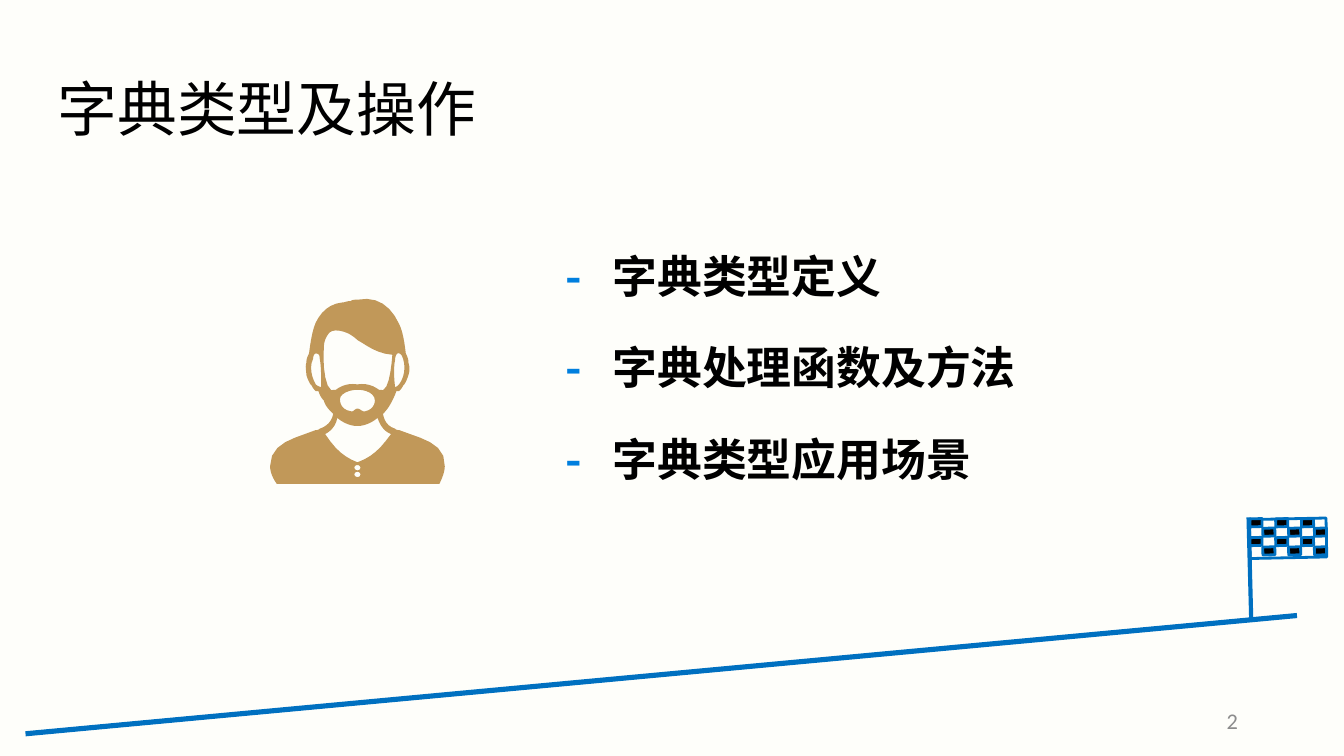
"""Build the agenda slide on dictionary types."""
from typing import NamedTuple
from lxml.etree import SubElement as Sub
from pptx import Presentation as Deck
from pptx.dml.color import RGBColor as RGB
from pptx.enum.shapes import MSO_CONNECTOR as Link, MSO_SHAPE as Kind
from pptx.enum.text import MSO_ANCHOR as Anchor, MSO_AUTO_SIZE as Fit, PP_ALIGN as Align
from pptx.oxml.ns import qn
from pptx.util import Inches, Pt

PAPER = RGB(0xFE, 0xFE, 0xFA)
TAN = RGB(0xC1, 0x98, 0x59)
BLUE = RGB(0x00, 0x70, 0xC0)
DASH = RGB(0x00, 0x7F, 0xDE)
BLACK = RGB(0x00, 0x00, 0x00)
GREY = RGB(0x8C, 0x8C, 0x8C)
HAN = "Noto Sans CJK SC"
ITEMS = ("字典类型定义", "字典处理函数及方法", "字典类型应用场景")

Point = tuple[float, float]


class Style(NamedTuple):
    size: float
    face: str
    color: RGB
    bold: bool = False


class Stroke(NamedTuple):
    start: Point
    end: Point
    width: float


class Curve(NamedTuple):
    start: Point
    bends: tuple[tuple[float, ...], ...]


BODY = Curve((2.06, 3.6), (
    (2.03, 3.56, 2.01, 3.51, 2.01, 3.47), (2.01, 3.29, 2.2, 3.26, 2.35, 3.2),
    (2.36, 3.2, 2.37, 3.2, 2.38, 3.19), (2.44, 3.17, 2.47, 3.13, 2.48, 3.08),
    (2.45, 3.05, 2.42, 3.02, 2.41, 2.98), (2.39, 2.96, 2.38, 2.94, 2.37, 2.91),
    (2.36, 2.91, 2.36, 2.91, 2.35, 2.91), (2.34, 2.9, 2.33, 2.89, 2.32, 2.87),
    (2.3, 2.85, 2.29, 2.82, 2.28, 2.79), (2.28, 2.76, 2.27, 2.73, 2.28, 2.7),
    (2.28, 2.67, 2.29, 2.65, 2.3, 2.63), (2.31, 2.56, 2.32, 2.47, 2.35, 2.4),
    (2.39, 2.32, 2.45, 2.26, 2.55, 2.25), (2.57, 2.25, 2.58, 2.24, 2.61, 2.24),
    (2.62, 2.23, 2.64, 2.23, 2.66, 2.23), (2.81, 2.2, 2.91, 2.28, 2.97, 2.41),
    (3, 2.47, 3.01, 2.55, 3.02, 2.63), (3.03, 2.65, 3.04, 2.67, 3.04, 2.7),
    (3.05, 2.73, 3.05, 2.76, 3.04, 2.79), (3.03, 2.82, 3.02, 2.85, 3, 2.87),
    (2.99, 2.89, 2.98, 2.9, 2.97, 2.91), (2.96, 2.91, 2.96, 2.91, 2.95, 2.91),
    (2.94, 2.94, 2.93, 2.96, 2.92, 2.98), (2.9, 3.02, 2.88, 3.05, 2.85, 3.08),
    (2.86, 3.13, 2.88, 3.17, 2.94, 3.19), (2.95, 3.2, 2.96, 3.2, 2.97, 3.2),
    (3.12, 3.26, 3.32, 3.29, 3.31, 3.47), (3.31, 3.51, 3.29, 3.56, 3.27, 3.6)))
EARS = (
    Curve((2.35, 2.63), (
        (2.34, 2.63, 2.33, 2.65, 2.33, 2.67), (2.3, 2.73, 2.32, 2.81, 2.35, 2.86),
        (2.36, 2.87, 2.38, 2.88, 2.39, 2.88), (2.39, 2.79, 2.39, 2.72, 2.38, 2.67),
        (2.38, 2.64, 2.37, 2.63, 2.35, 2.63))),
    Curve((2.97, 2.63), (
        (2.96, 2.62, 2.94, 2.64, 2.94, 2.68), (2.93, 2.73, 2.93, 2.79, 2.94, 2.88),
        (2.95, 2.88, 2.96, 2.87, 2.97, 2.86), (3.01, 2.81, 3.02, 2.73, 3, 2.67),
        (2.99, 2.64, 2.98, 2.63, 2.97, 2.63))))
FACE = Curve((2.66, 2.53), (
    (2.64, 2.51, 2.61, 2.49, 2.59, 2.48), (2.52, 2.45, 2.46, 2.45, 2.44, 2.49),
    (2.42, 2.52, 2.41, 2.55, 2.41, 2.59), (2.4, 2.71, 2.42, 2.95, 2.5, 2.9),
    (2.54, 2.87, 2.59, 2.85, 2.66, 2.86), (2.73, 2.85, 2.78, 2.87, 2.82, 2.9),
    (2.89, 2.94, 2.91, 2.76, 2.92, 2.64), (2.8, 2.63, 2.73, 2.57, 2.66, 2.53)))
MOUTH = Curve((2.66, 2.9), (
    (2.6, 2.9, 2.53, 2.93, 2.53, 2.97), (2.53, 3.01, 2.55, 3.05, 2.61, 3.06),
    (2.63, 3.07, 2.64, 3.04, 2.66, 3.04), (2.68, 3.04, 2.7, 3.07, 2.72, 3.06),
    (2.77, 3.05, 2.79, 3.01, 2.79, 2.98), (2.79, 2.93, 2.73, 2.9, 2.66, 2.9)))
NECK = Curve((2.66, 3.44), (
    (2.77, 3.4, 2.83, 3.34, 2.91, 3.23), (2.86, 3.21, 2.83, 3.17, 2.81, 3.11),
    (2.76, 3.15, 2.71, 3.17, 2.66, 3.17), (2.61, 3.17, 2.56, 3.15, 2.51, 3.11),
    (2.5, 3.17, 2.46, 3.21, 2.42, 3.23), (2.5, 3.35, 2.56, 3.4, 2.66, 3.44)))


def button(y: float) -> Curve:
    """Return a round shirt button centred at the given height."""
    return Curve((2.66, y - 0.02), (
        (2.69, y - 0.02, 2.69, y + 0.02, 2.66, y + 0.02),
        (2.63, y + 0.02, 2.63, y - 0.02, 2.66, y - 0.02)))


def trace(curve: Curve, steps: int = 6) -> list[Point]:
    """Turn a chain of cubic bends into points in EMU."""
    x, y = curve.start
    dots = [(x, y)]
    for a, b, c, d, e, f in curve.bends:
        for t in (n / steps for n in range(1, steps + 1)):
            u = 1 - t
            w = (u ** 3, 3 * u * u * t, 3 * u * t * t, t ** 3)
            dots.append((sum(k * v for k, v in zip(w, (x, a, c, e))),
                         sum(k * v for k, v in zip(w, (y, b, d, f)))))
        x, y = e, f
    return [(Inches(p), Inches(q)) for p, q in dots]


def draw_man(shapes, curves: tuple[Curve, ...]) -> None:
    """Draw the bearded figure as one outline with holes."""
    first, *rest = map(trace, curves)
    pen = shapes.build_freeform(*first[0])
    pen.add_line_segments(first[1:])
    for dots in rest:
        pen.move_to(*dots[0])
        pen.add_line_segments(dots[1:])
    man = pen.convert_to_shape()
    man.shadow.inherit = False
    man.fill.solid()
    man.fill.fore_color.rgb = TAN
    man.line.fill.background()


def draw_line(shapes, item: Stroke) -> None:
    """Draw a straight blue line."""
    line = shapes.add_connector(Link.STRAIGHT, *map(Inches, item.start + item.end))
    line.line.color.rgb = BLUE
    line.line.width = Pt(item.width)
    Sub(line._element.spPr, qn("a:effectLst"))


def draw_rect(shapes, box: tuple[float, ...], turn: float, full: bool) -> None:
    """Draw a tilted blue-edged rectangle, black or hollow."""
    rect = shapes.add_shape(Kind.RECTANGLE, *map(Inches, box))
    rect.shadow.inherit = False
    rect.rotation = turn
    if full:
        rect.fill.solid()
        rect.fill.fore_color.rgb = BLACK
    else:
        rect.fill.background()
    rect.line.color.rgb = BLUE
    rect.line.width = Pt(1.5)


def draw_flag(shapes) -> None:
    """Draw the chequered flag on its pole."""
    flag = shapes.add_group_shape().shapes
    draw_line(flag, Stroke((9.29, 3.85), (9.31, 4.62), 2.25))
    draw_rect(flag, (9.3, 3.86, 0.57, 0.29), 358.8, False)
    for row in range(4):
        for col in range(row % 2, 6, 2):
            box = (9.3 + 0.096 * col, 3.86 + 0.07 * row, 0.09, 0.06)
            draw_rect(flag, box, 358.3, True)


def add_run(para, text: str, style: Style) -> None:
    """Add one styled run to a paragraph."""
    run = para.add_run()
    run.text = text
    font = run.font
    font.size, font.name, font.bold = Pt(style.size), style.face, style.bold
    font.color.rgb = style.color
    Sub(run._r.get_or_add_rPr(), qn("a:ea"), typeface=style.face)


def hang(para) -> None:
    """Give a paragraph a hanging indent for its dash."""
    props = para._p.get_or_add_pPr()
    props.set("marL", str(Inches(1.03)))
    props.set("indent", str(-Inches(0.35)))


def place(shape, *box: float) -> None:
    """Move and size a shape."""
    shape.left, shape.top, shape.width, shape.height = map(Inches, box)


def main() -> None:
    """Build and save the deck."""
    deck = Deck()
    deck.slide_width, deck.slide_height = Inches(10), Inches(10 * 9 / 16)
    slide = deck.slides.add_slide(deck.slide_layouts[5])
    back = slide.background.fill
    back.solid()
    back.fore_color.rgb = PAPER
    shapes = slide.shapes

    draw_man(shapes, (BODY, *EARS, FACE, MOUTH, NECK, button(3.48), button(3.53)))
    draw_line(shapes, Stroke((0.19, 5.46), (9.65, 4.58), 2.75))
    draw_flag(shapes)

    title = shapes.title
    place(title, 0.43, 0.43, 6.06, 0.87)
    frame = title.text_frame
    frame.auto_size, frame.vertical_anchor = Fit.NONE, Anchor.MIDDLE
    frame.margin_left = frame.margin_right = frame.margin_top = frame.margin_bottom = 0
    head = frame.paragraphs[0]
    head.alignment, head.line_spacing = Align.LEFT, 0.7
    add_run(head, "字典类型及操作", Style(32, HAN, BLACK))

    frame = shapes.add_textbox(*map(Inches, (3.43, 1.52, 4.97, 2.16))).text_frame
    frame.word_wrap, frame.auto_size = True, Fit.SHAPE_TO_FIT_TEXT
    for n, item in enumerate(ITEMS):
        para = frame.add_paragraph() if n else frame.paragraphs[0]
        para.line_spacing = 1.7
        hang(para)
        add_run(para, "-\t", Style(24, HAN, DASH, True))
        add_run(para, item, Style(24, HAN, BLACK, True))

    frame = shapes.add_textbox(*map(Inches, (7.06, 5.21, 2.25, 0.3))).text_frame
    frame.word_wrap, frame.vertical_anchor = True, Anchor.MIDDLE
    frame.paragraphs[0].alignment = Align.RIGHT
    add_run(frame.paragraphs[0], "2", Style(12, "Calibri", GREY))
    deck.save("out.pptx")


if __name__ == "__main__":
    main()
